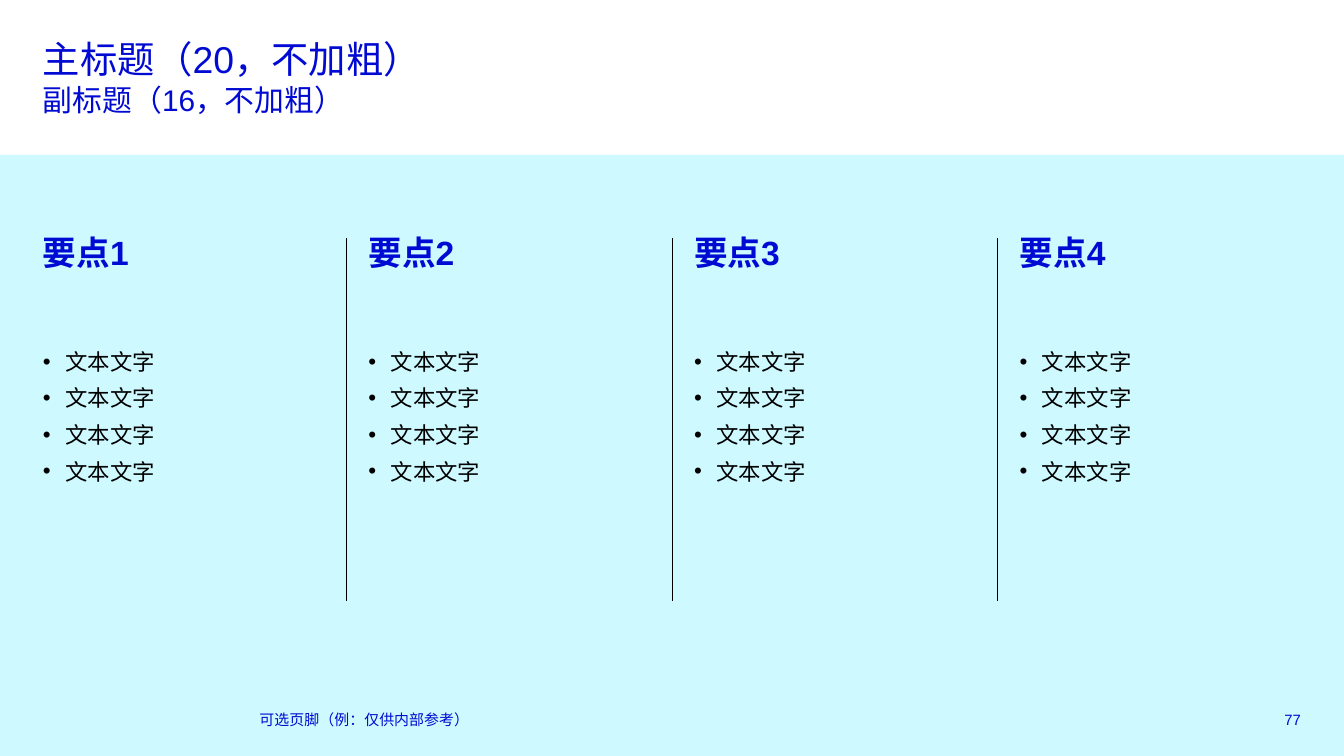
from dataclasses import dataclass

from lxml.etree import SubElement
from pptx import Presentation
from pptx.dml.color import RGBColor
from pptx.enum.shapes import MSO_CONNECTOR, MSO_SHAPE
from pptx.enum.text import MSO_ANCHOR, MSO_AUTO_SIZE, PP_ALIGN
from pptx.oxml.ns import qn
from pptx.util import Pt


@dataclass(frozen=True)
class Theme:
    font: str = "Arial"
    blue: RGBColor = RGBColor(0x00, 0x0A, 0xD2)
    black: RGBColor = RGBColor(0, 0, 0)
    cyan: RGBColor = RGBColor(0x5F, 0xF0, 0xFF)
    title: int = 20
    subtitle: int = 16
    heading: int = 18
    body: int = 12
    footer: int = 8


class SlideBuilder:
    def __init__(self, slide, theme):
        self.slide = slide
        self.theme = theme

    def prepare_frame(self, shape, anchor):
        frame = shape.text_frame
        frame.margin_left = frame.margin_right = 0
        frame.margin_top = frame.margin_bottom = 0
        frame.word_wrap = True
        frame.auto_size = MSO_AUTO_SIZE.NONE
        frame.vertical_anchor = anchor
        return frame

    def style(self, paragraph, color, size=None, bold=False, align=PP_ALIGN.LEFT):
        paragraph.alignment = align
        font = paragraph.font
        font.name = self.theme.font
        font.color.rgb = color
        font.bold = bold
        if size:
            font.size = Pt(size)

    def title(self, main, sub, left, top, width, height):
        placeholder = self.slide.shapes.title
        placeholder.left, placeholder.top = Pt(left), Pt(top)
        placeholder.width, placeholder.height = Pt(width), Pt(height)
        paragraph = self.prepare_frame(placeholder, MSO_ANCHOR.TOP).paragraphs[0]
        self.style(paragraph, self.theme.blue)
        main_run = paragraph.add_run()
        main_run.text = main
        main_run.font.size = Pt(self.theme.title)
        paragraph.add_line_break()
        sub_run = paragraph.add_run()
        sub_run.text = sub
        sub_run.font.size = Pt(self.theme.subtitle)

    def panel(self, left, top, width, height, opacity):
        panel = self.slide.shapes.add_shape(
            MSO_SHAPE.RECTANGLE, Pt(left), Pt(top), Pt(width), Pt(height))
        panel.shadow.inherit = False
        panel.fill.solid()
        panel.fill.fore_color.rgb = self.theme.cyan
        panel.line.fill.background()
        color = panel.fill._xPr.find(f".//{qn('a:srgbClr')}")
        SubElement(color, qn("a:alpha"), val=str(opacity * 1000))

    def text(self, words, left, top, width, height, size, bold=False,
             align=PP_ALIGN.LEFT, anchor=MSO_ANCHOR.TOP):
        box = self.slide.shapes.add_textbox(Pt(left), Pt(top), Pt(width), Pt(height))
        paragraph = self.prepare_frame(box, anchor).paragraphs[0]
        paragraph.text = words
        self.style(paragraph, self.theme.blue, size, bold, align)

    def bullets(self, items, left, top, width, height):
        box = self.slide.shapes.add_textbox(Pt(left), Pt(top), Pt(width), Pt(height))
        frame = self.prepare_frame(box, MSO_ANCHOR.TOP)
        for index, item in enumerate(items):
            paragraph = frame.paragraphs[0] if index == 0 else frame.add_paragraph()
            paragraph.text = item
            paragraph.level = 1
            properties = paragraph._p.get_or_add_pPr()
            properties.set("marL", str(Pt(12)))
            properties.set("indent", str(Pt(-12)))
            SubElement(properties, qn("a:buFont"), typeface=self.theme.font)
            SubElement(properties, qn("a:buChar"), char="•")
            if index:
                paragraph.space_before = Pt(5.2)
            self.style(paragraph, self.theme.black, self.theme.body)

    def divider(self, x, top, bottom):
        line = self.slide.shapes.add_connector(
            MSO_CONNECTOR.STRAIGHT, Pt(x), Pt(top), Pt(x), Pt(bottom))
        line.line.color.rgb = self.theme.black
        line.line.width = Pt(0.5)
        SubElement(line._element.spPr, qn("a:effectLst"))


def main():
    width, height, margin = 720, 405, 23
    column_width, pitch = 151, 174.4
    panel_top = 83
    headings = ["要点1", "要点2", "要点3", "要点4"]
    points = ["文本文字"] * 4

    deck = Presentation()
    deck.slide_width, deck.slide_height = Pt(width), Pt(height)
    slide = deck.slides.add_slide(deck.slide_layouts[5])
    theme = Theme()
    builder = SlideBuilder(slide, theme)

    builder.panel(0, panel_top, width, height - panel_top, opacity=30)
    builder.title("主标题（20，不加粗）", "副标题（16，不加粗）",
                  margin, 19.5, width - 2 * margin, 29.5)

    for column, heading in enumerate(headings):
        left = margin + column * pitch
        builder.text(heading, left, 124.5, column_width, 38, theme.heading, bold=True)
        builder.bullets(points, left, 186.5, column_width, 152.5)
        if column:
            builder.divider(width / 2 + (column - 2) * pitch, 127.5, 322)

    footer_top, footer_height = 380, 11
    builder.text("可选页脚（例：仅供内部参考）", 139, footer_top, 465, footer_height,
                 theme.footer, anchor=MSO_ANCHOR.MIDDLE)
    number_width = 28
    builder.text("77", width - margin - number_width, footer_top, number_width,
                 footer_height, theme.footer, align=PP_ALIGN.RIGHT,
                 anchor=MSO_ANCHOR.MIDDLE)

    deck.save("out.pptx")


if __name__ == "__main__":
    main()
